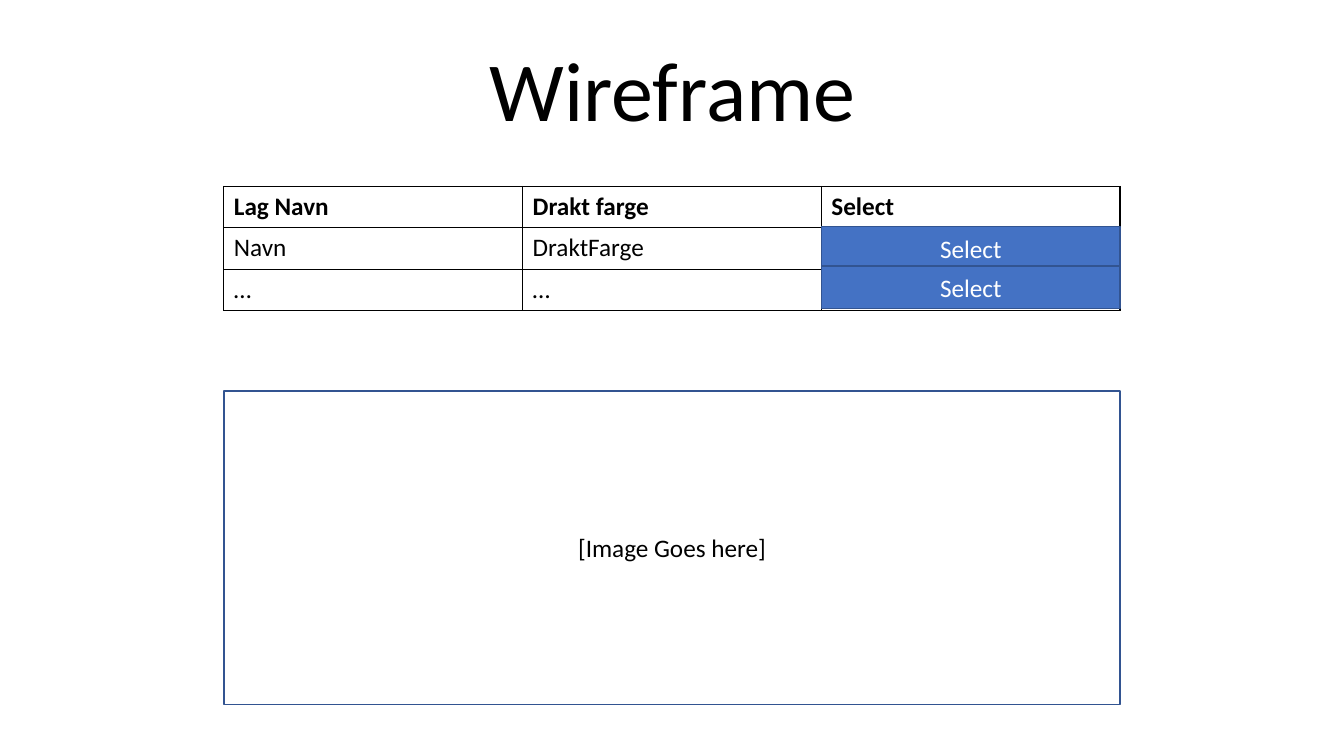
import pptx
import pptx.util
import pptx.dml.color
import pptx.enum.shapes
import pptx.enum.text
import pptx.oxml
import pptx.oxml.ns

Inches, Pt = pptx.util.Inches, pptx.util.Pt
ALIGN, ANCHOR = pptx.enum.text.PP_ALIGN, pptx.enum.text.MSO_ANCHOR

# Content
TITLE = "Wireframe"
ROWS = [
    ("Lag Navn", "Drakt farge", "Select"),
    ("Navn", "DraktFarge", ""),
    ("…", "…", ""),
]
BUTTON = "Select"
IMAGE_LABEL = "[Image Goes here]"

# Grid, in inches
SLIDE_W, SLIDE_H = 13.33, 7.5
LEFT, TABLE_TOP, WIDTH, ROW_H = 2.22, 1.85, 8.89, 0.41
COL_W = WIDTH / len(ROWS[0])
BUTTON_TOP, BUTTON_STEP, BUTTON_H = 2.25, 0.39, 0.42
IMAGE_TOP, IMAGE_H = 3.88, 3.11
BLACK, WHITE, BLUE, EDGE = "000000", "FFFFFF", "4472C4", "325491"


def rgb(value):
    return pptx.dml.color.RGBColor.from_string(value)


def style(tf, size, color, bold=False, align=None):
    for p in tf.paragraphs:
        p.alignment = align
        p.font.size = Pt(size)
        for r in p.runs:
            r.font.name, r.font.size, r.font.bold = "Calibri", Pt(size), bold
            r.font.color.rgb = rgb(color)


def add_box(top, width, height, text, color, fill=None):
    """Rectangle whose right edge lines up with the table."""
    sp = s.shapes.add_shape(
        pptx.enum.shapes.MSO_SHAPE.RECTANGLE,
        Inches(LEFT + WIDTH - width), Inches(top), Inches(width), Inches(height))
    sp.shadow.inherit = False
    if fill:
        sp.fill.solid()
        sp.fill.fore_color.rgb = rgb(fill)
    else:
        sp.fill.background()
    sp.line.color.rgb = rgb(EDGE)
    sp.line.width = Pt(1)
    tf = sp.text_frame
    tf.text = text
    tf.vertical_anchor = ANCHOR.MIDDLE
    style(tf, 18, color, align=ALIGN.CENTER)


def add_borders(cell):
    tc_pr = cell._tc.get_or_add_tcPr()
    for i, side in enumerate(("lnL", "lnR", "lnT", "lnB")):
        tc_pr.insert(i, pptx.oxml.parse_xml(
            f'<a:{side} {pptx.oxml.ns.nsdecls("a")} w="{Pt(1)}"><a:solidFill>'
            f'<a:srgbClr val="{BLACK}"/></a:solidFill></a:{side}>'))


prs = pptx.Presentation()
prs.slide_width, prs.slide_height = Inches(SLIDE_W), Inches(SLIDE_H)
s = prs.slides.add_slide(prs.slide_layouts[5])

# Title
title = s.shapes.title
title.left, title.top = Inches(0.92), Inches(-0.01)
title.width, title.height = Inches(11.5), Inches(1.45)
tf = title.text_frame
tf.text = TITLE
tf.vertical_anchor = ANCHOR.BOTTOM
tf.paragraphs[0].line_spacing = 0.9
style(tf, 60, BLACK, align=ALIGN.CENTER)

# Team table
table = s.shapes.add_table(
    len(ROWS), len(ROWS[0]), Inches(LEFT), Inches(TABLE_TOP),
    Inches(WIDTH), Inches(ROW_H * len(ROWS))).table
for column in table.columns:
    column.width = Inches(COL_W)
for i, row in enumerate(ROWS):
    table.rows[i].height = Inches(ROW_H)
    for j, text in enumerate(row):
        cell = table.cell(i, j)
        cell.text = text
        cell.fill.background()
        style(cell.text_frame, 18, BLACK, bold=i == 0)
        add_borders(cell)

# Select buttons over the last column
for i in range(len(ROWS) - 1):
    add_box(BUTTON_TOP + i * BUTTON_STEP, COL_W, BUTTON_H, BUTTON, WHITE, BLUE)

# Image area
add_box(IMAGE_TOP, WIDTH, IMAGE_H, IMAGE_LABEL, BLACK)

prs.save("out.pptx")
